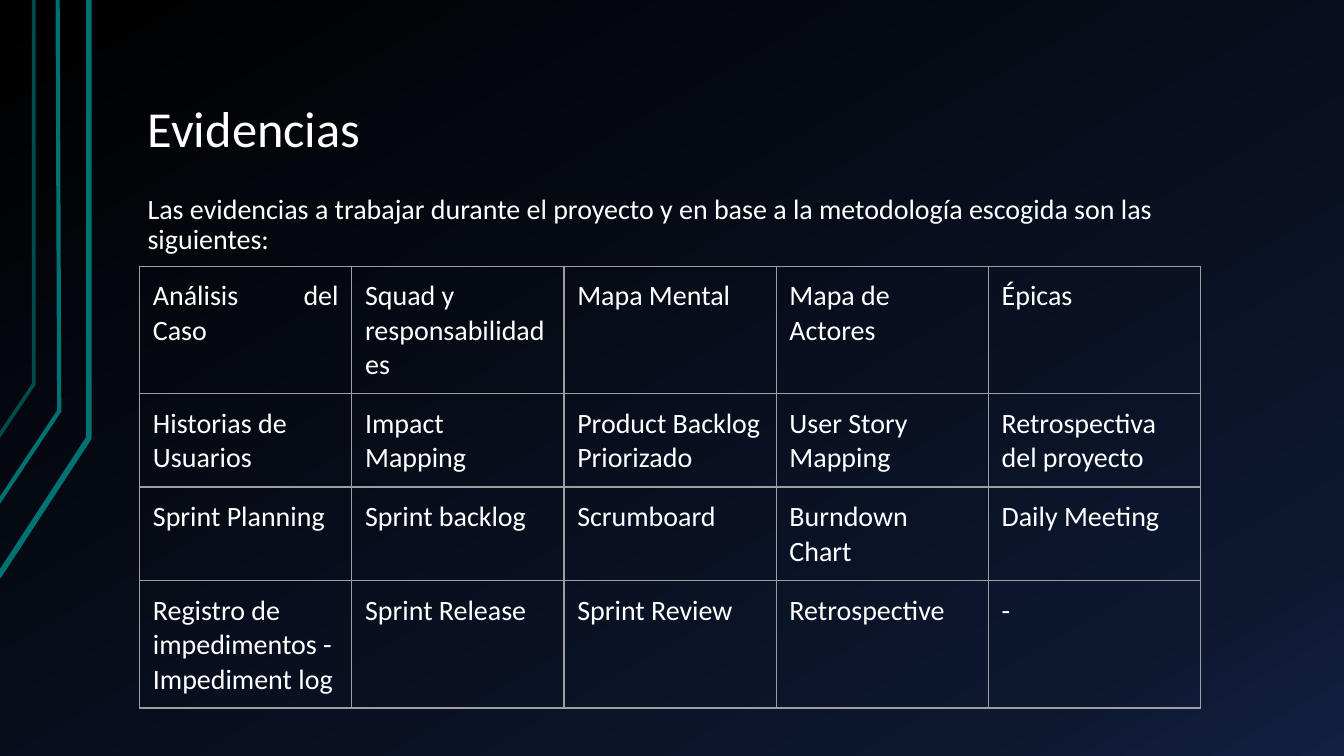
from copy import deepcopy
from typing import NamedTuple

from lxml import etree
from pptx import Presentation
from pptx.dml import color
from pptx.enum import text as txt
from pptx.oxml import ns
from pptx.util import Cm, Pt

FONT = "Calibri"
WHITE = "FFFFFF"
GRID = "9E9E9E"
COLUMN_WIDTH = Cm(4.01)
ROW_HEIGHT = Cm(1.07)
CELL_MARGIN = Cm(0.25)


class Trace(NamedTuple):
    points: tuple
    hue: str
    weight: float


class Evidence(NamedTuple):
    label: str
    gap: float = 0
    align: txt.PP_ALIGN = txt.PP_ALIGN.LEFT


TRACES = [
    Trace(((-0.03, 10.9), (1.68, 8.28), (1.68, 0)), "007272", 3),
    Trace(((-0.03, 9.5), (1.12, 7.77), (1.09, 0)), "007272", 2.25),
    Trace(((-0.03, 8.26), (0.64, 7.26), (0.64, 0)), "004C4C", 2),
]

EVIDENCE = [
    [
        Evidence("Análisis del Caso", align=txt.PP_ALIGN.JUSTIFY),
        Evidence("Squad y responsabilidades"),
        Evidence("Mapa Mental", 11),
        Evidence("Mapa de Actores"),
        Evidence("Épicas"),
    ],
    [
        Evidence("Historias de Usuarios"),
        Evidence("Impact Mapping"),
        Evidence("Product Backlog Priorizado"),
        Evidence("User Story Mapping"),
        Evidence("Retrospectiva del proyecto"),
    ],
    [
        Evidence("Sprint Planning", 11),
        Evidence("Sprint backlog", 11),
        Evidence("Scrumboard", 11),
        Evidence("Burndown Chart", 11),
        Evidence("Daily Meeting", 11),
    ],
    [
        Evidence("Registro de impedimentos - Impediment log", 11),
        Evidence("Sprint Release", 11),
        Evidence("Sprint Review", 11),
        Evidence("Retrospective", 11),
        Evidence("-"),
    ],
]


def rgb(value: str) -> color.RGBColor:
    return color.RGBColor.from_string(value)


def write(frame, content: str, *, size: float = 15, hue: str = WHITE,
          align=txt.PP_ALIGN.LEFT, anchor=txt.MSO_ANCHOR.TOP,
          spacing: float = 1.0, before: float = 0, after: float = 0) -> None:
    frame.word_wrap = True
    frame.vertical_anchor = anchor
    paragraph = frame.paragraphs[0]
    paragraph.alignment = align
    paragraph.line_spacing = spacing
    paragraph.space_before = Pt(before)
    paragraph.space_after = Pt(after)
    run = paragraph.add_run()
    run.text = content
    run.font.name = FONT
    run.font.size = Pt(size)
    run.font.color.rgb = rgb(hue)


def paint_background(slide) -> None:
    fill = slide.background.fill
    fill.gradient()
    fill.gradient_angle = 300
    stops = slide.element.find(".//" + ns.qn("a:gsLst"))
    stops.append(deepcopy(stops[-1]))
    shades = [(0, "000000"), (0.85, "0D172F"), (1, "122041")]
    for stop, (position, shade) in zip(fill.gradient_stops, shades):
        stop.position = position
        stop.color.rgb = rgb(shade)


def draw_trace(slide, trace: Trace) -> None:
    start, *rest = [(Cm(x), Cm(y)) for x, y in trace.points]
    builder = slide.shapes.build_freeform(*start)
    builder.add_line_segments(rest, close=False)
    outline = builder.convert_to_shape()
    outline.shadow.inherit = False
    outline.fill.background()
    outline.line.color.rgb = rgb(trace.hue)
    outline.line.width = Pt(trace.weight)


def border_cell(cell) -> None:
    properties = cell._tc.get_or_add_tcPr()
    for index, side in enumerate(("a:lnL", "a:lnR", "a:lnT", "a:lnB")):
        edge = etree.Element(ns.qn(side), w=str(Pt(0.75)))
        solid = etree.SubElement(edge, ns.qn("a:solidFill"))
        etree.SubElement(solid, ns.qn("a:srgbClr"), val=GRID)
        properties.insert(index, edge)


def draw_evidence(slide, rows: list) -> None:
    count = len(rows[0])
    table = slide.shapes.add_table(
        len(rows), count, Cm(2.64), Cm(5.03),
        COLUMN_WIDTH * count, ROW_HEIGHT * len(rows)).table
    table.first_row = False
    table.horz_banding = False
    for r, row in enumerate(rows):
        for c, evidence in enumerate(row):
            cell = table.cell(r, c)
            cell.margin_left = cell.margin_right = CELL_MARGIN
            cell.margin_top = cell.margin_bottom = CELL_MARGIN
            cell.fill.background()
            border_cell(cell)
            write(cell.text_frame, evidence.label, align=evidence.align,
                  before=evidence.gap, after=evidence.gap)


def main() -> None:
    deck = Presentation()
    deck.slide_width, deck.slide_height = Cm(25.4), Cm(14.29)
    slide = deck.slides.add_slide(deck.slide_layouts[5])
    paint_background(slide)
    for trace in TRACES:
        draw_trace(slide, trace)

    heading = slide.shapes.title
    heading.left, heading.top = Cm(2.54), Cm(0.58)
    heading.width, heading.height = Cm(21.59), Cm(2.54)
    write(heading.text_frame, "Evidencias", size=27, spacing=0.9,
          anchor=txt.MSO_ANCHOR.BOTTOM)

    intro = slide.shapes.add_textbox(Cm(2.54), Cm(3.56), Cm(21.59), Cm(9.3))
    write(intro.text_frame,
          "Las evidencias a trabajar durante el proyecto y en base a la "
          "metodología escogida son las siguientes:",
          spacing=0.9, before=12)

    draw_evidence(slide, EVIDENCE)
    deck.save("out.pptx")


if __name__ == "__main__":
    main()
